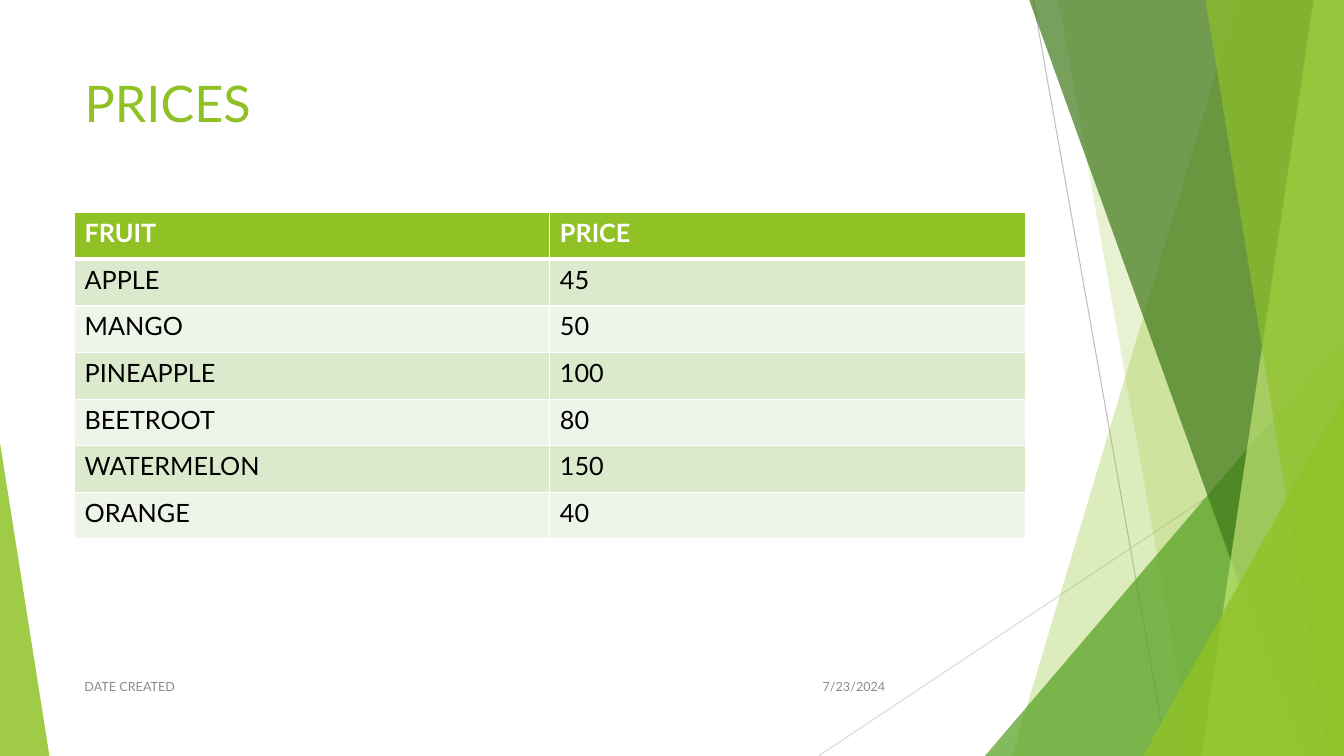
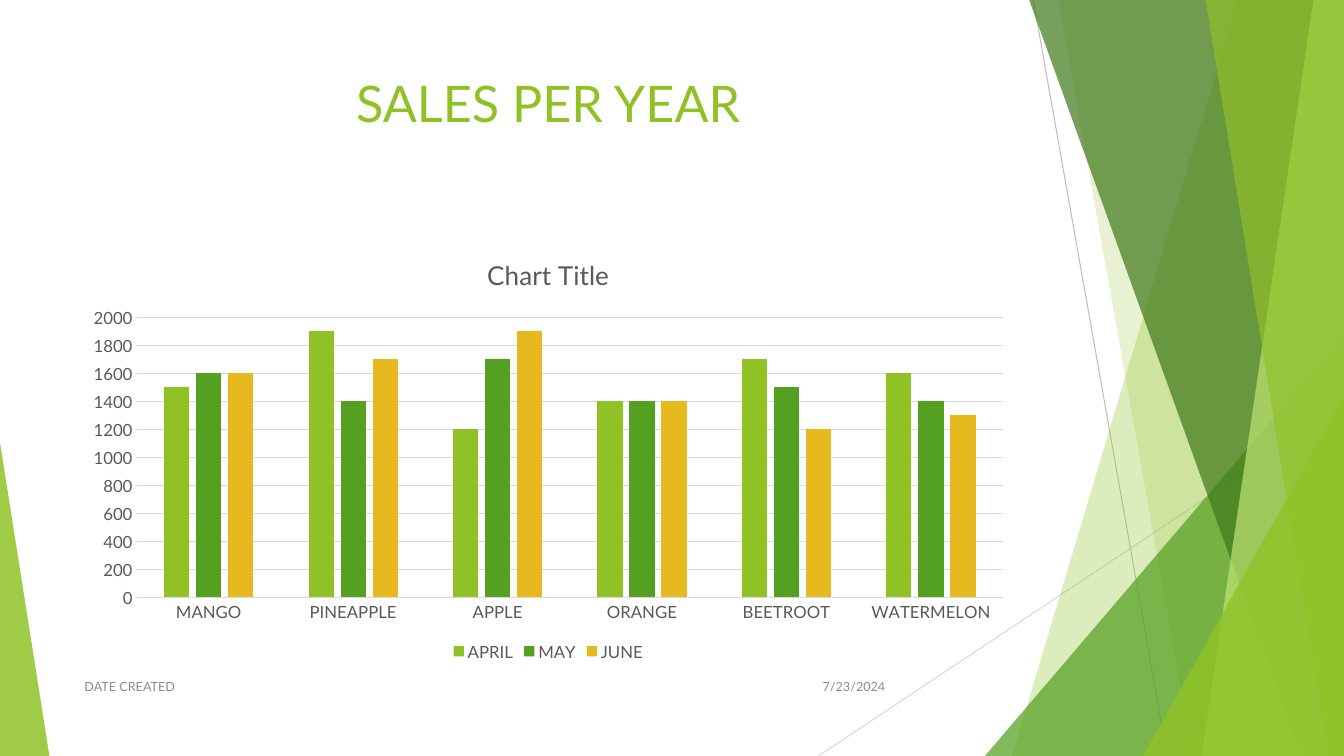
from lxml.etree import SubElement
from pptx import Presentation
from pptx.chart.data import CategoryChartData
from pptx.dml.color import RGBColor as RGB
from pptx.enum.chart import XL_CHART_TYPE as Chart, XL_LEGEND_POSITION as Legend
from pptx.enum.chart import XL_TICK_MARK as Tick
from pptx.enum.shapes import MSO_CONNECTOR as Conn, MSO_SHAPE as Shape
from pptx.enum.shapes import PP_PLACEHOLDER as Holder
from pptx.enum.text import MSO_ANCHOR as Anchor, MSO_AUTO_SIZE as AutoSize
from pptx.enum.text import PP_ALIGN as Align
from pptx.oxml.ns import qn
from pptx.util import Inches, Pt


class Theme:
    font = "Lato"
    lime, green, forest, pale, gold = "90C226", "54A021", "3F7819", "C0E474", "E6B91E"
    bands = ("EEF4E8", "DBE9CD")
    white, black, grey, muted = "FFFFFF", "000000", "595959", "8C8C8C"
    rule, rule_dark = "D9D9D9", "BFBFBF"
    title, chart_title, body, label, footer = 36, 18.6, 18, 12, 9
    hairline, border, header_border = 0.75, 1, 3


prs = Presentation()
prs.slide_width, prs.slide_height = Inches(13.33), Inches(7.5)
LEFT, WIDTH = 5.55, 70.5


def box(*shares):
    """Turn x, y pairs in percent of the slide's width and height into lengths."""
    sizes = (prs.slide_width, prs.slide_height) * (len(shares) // 2)
    return [int(size * share / 100) for size, share in zip(sizes, shares)]


def style(font, size, color, bold=False):
    values = {"name": Theme.font, "size": Pt(size), "bold": bold}
    for name, value in values.items():
        setattr(font, name, value)
    font.color.rgb = RGB.from_string(color)


# Slides, titles and footers
layout = prs.slide_layouts[5]
for holder in list(layout.placeholders):
    if holder.placeholder_format.type != Holder.TITLE:
        holder.element.getparent().remove(holder.element)

FOOTERS = [
    ("7/23/2024", (59.1, 88.13, 7.5, 5.33), Align.RIGHT),
    ("DATE CREATED", (LEFT, 88.13, 51.68, 5.33), Align.LEFT),
]
slides = []
for text, align in [("PRICES", Align.LEFT), ("SALES PER YEAR", Align.CENTER)]:
    slide = prs.slides.add_slide(layout)
    slides.append(slide)
    title = slide.shapes.title
    title.left, title.top, title.width, title.height = box(LEFT, 8.93, WIDTH, 19.2)
    tf = title.text_frame
    tf.text, tf.vertical_anchor, tf.auto_size = text, Anchor.TOP, AutoSize.NONE
    p = tf.paragraphs[0]
    p.alignment = align
    style(p.runs[0].font, Theme.title, Theme.lime)
    for note, place, side in FOOTERS:
        tf = slide.shapes.add_textbox(*box(*place)).text_frame
        tf.text, tf.word_wrap, tf.vertical_anchor = note, True, Anchor.MIDDLE
        p = tf.paragraphs[0]
        p.alignment = side
        style(p.runs[0].font, Theme.footer, Theme.muted)
prices, sales = slides

# Facets, drawn once and moved to the shared layout
facets = prices.shapes.add_group_shape()
for ends, color in [
    ((76.88, 0, 86.85, 100), Theme.rule_dark),
    ((100, 53.73, 60.9, 100), Theme.rule),
]:
    line = facets.shapes.add_connector(Conn.STRAIGHT, *box(*ends))
    line.line.color.rgb = RGB.from_string(color)
    line.line.width = Pt(Theme.hairline)
    SubElement(line.element.spPr, qn("a:effectLst"))

# A panel is (top x, bottom x) and runs to the right edge;
# a triangle is (left, top, width, apex) and stands on the bottom edge.
for form, color, opacity in [
    ((92.1, 75.3), Theme.lime, 30),
    ((78.75, 88.75), Theme.lime, 20),
    ((73.28, 44.4, 26.72, 1), Theme.green, 72),
    ((76.58, 96.83), Theme.forest, 70),
    ((97.73, 89.4), Theme.pale, 70),
    ((89.7, 98.85), Theme.lime, 65),
    ((85.05, 52.4, 14.95, 1), Theme.lime, 80),
    ((0, 58.53, 3.68, 0), Theme.lime, 85),
]:
    if len(form) == 2:
        top, bottom = form
        outline = facets.shapes.build_freeform(*box(top, 0))
        corners = [(100, 0), (100, 100), (bottom, 100)]
        outline.add_line_segments([box(*corner) for corner in corners])
        sp = outline.convert_to_shape()
    else:
        left, top, width, apex = form
        place = box(left, top, width, 100 - top)
        sp = facets.shapes.add_shape(Shape.ISOSCELES_TRIANGLE, *place)
        sp.adjustments[0] = apex
    sp.shadow.inherit = False
    sp.line.fill.background()
    sp.fill.solid()
    sp.fill.fore_color.rgb = RGB.from_string(color)
    clr = sp.element.spPr.find(qn("a:solidFill")).find(qn("a:srgbClr"))
    SubElement(clr, qn("a:alpha"), val=str(opacity * 1000))
layout.shapes.element.insert(2, facets.element)

# Price table
ROWS = [
    ("FRUIT", "PRICE"),
    ("APPLE", "45"),
    ("MANGO", "50"),
    ("PINEAPPLE", "100"),
    ("BEETROOT", "80"),
    ("WATERMELON", "150"),
    ("ORANGE", "40"),
]
place = box(LEFT, 28.13, 70.73, 43.2)
table = prices.shapes.add_table(len(ROWS), len(ROWS[0]), *place).table
for r, row in enumerate(ROWS):
    header = r == 0
    for c, text in enumerate(row):
        cell = table.cell(r, c)
        cell.text = text
        font = cell.text_frame.paragraphs[0].runs[0].font
        style(font, Theme.body, Theme.white if header else Theme.black, header)
        tcPr = cell._tc.get_or_add_tcPr()
        edges = dict.fromkeys(("lnL", "lnR", "lnT", "lnB"), Theme.border)
        if r < 2:
            edges["lnB" if header else "lnT"] = Theme.header_border
        for edge, width in edges.items():
            ln = SubElement(tcPr, qn(f"a:{edge}"), w=str(Pt(width)))
            SubElement(SubElement(ln, qn("a:solidFill")), qn("a:srgbClr"), val=Theme.white)
        cell.fill.solid()
        fill = Theme.lime if header else Theme.bands[r % 2]
        cell.fill.fore_color.rgb = RGB.from_string(fill)

# Sales chart
SERIES = [
    ("APRIL", (1500, 1900, 1200, 1400, 1700, 1600), Theme.lime),
    ("MAY", (1600, 1400, 1700, 1400, 1500, 1400), Theme.green),
    ("JUNE", (1600, 1700, 1900, 1400, 1200, 1300), Theme.gold),
]
data = CategoryChartData()
data.categories = ["MANGO", "PINEAPPLE", "APPLE", "ORANGE", "BEETROOT", "WATERMELON"]
for name, values, _ in SERIES:
    data.add_series(name, values)
place = box(LEFT, 31.47, WIDTH, 56.53)
chart = sales.shapes.add_chart(Chart.COLUMN_CLUSTERED, *place, data).chart
style(chart.font, Theme.label, Theme.grey)

chart.has_title = True
tf = chart.chart_title.text_frame
tf.text = "Chart Title"
style(tf.paragraphs[0].runs[0].font, Theme.chart_title, Theme.grey)
chart.chart_title.include_in_layout = False

chart.has_legend = True
chart.legend.position = Legend.BOTTOM
chart.legend.include_in_layout = False
style(chart.legend.font, Theme.label, Theme.grey)

plot = chart.plots[0]
plot.gap_width, plot.overlap, plot.vary_by_categories = 219, -27, False
for series, (_, _, color) in zip(plot.series, SERIES):
    series.format.fill.solid()
    series.format.fill.fore_color.rgb = RGB.from_string(color)

cats, vals = chart.category_axis, chart.value_axis
for axis in (cats, vals):
    axis.major_tick_mark = axis.minor_tick_mark = Tick.NONE
    style(axis.tick_labels.font, Theme.label, Theme.grey)
vals.minimum_scale, vals.maximum_scale, vals.major_unit = 0, 2000, 200
vals.has_major_gridlines = True
vals.format.line.fill.background()
for line in (cats.format.line, vals.major_gridlines.format.line):
    line.color.rgb = RGB.from_string(Theme.rule)
    line.width = Pt(Theme.hairline)

prs.save("out.pptx")
